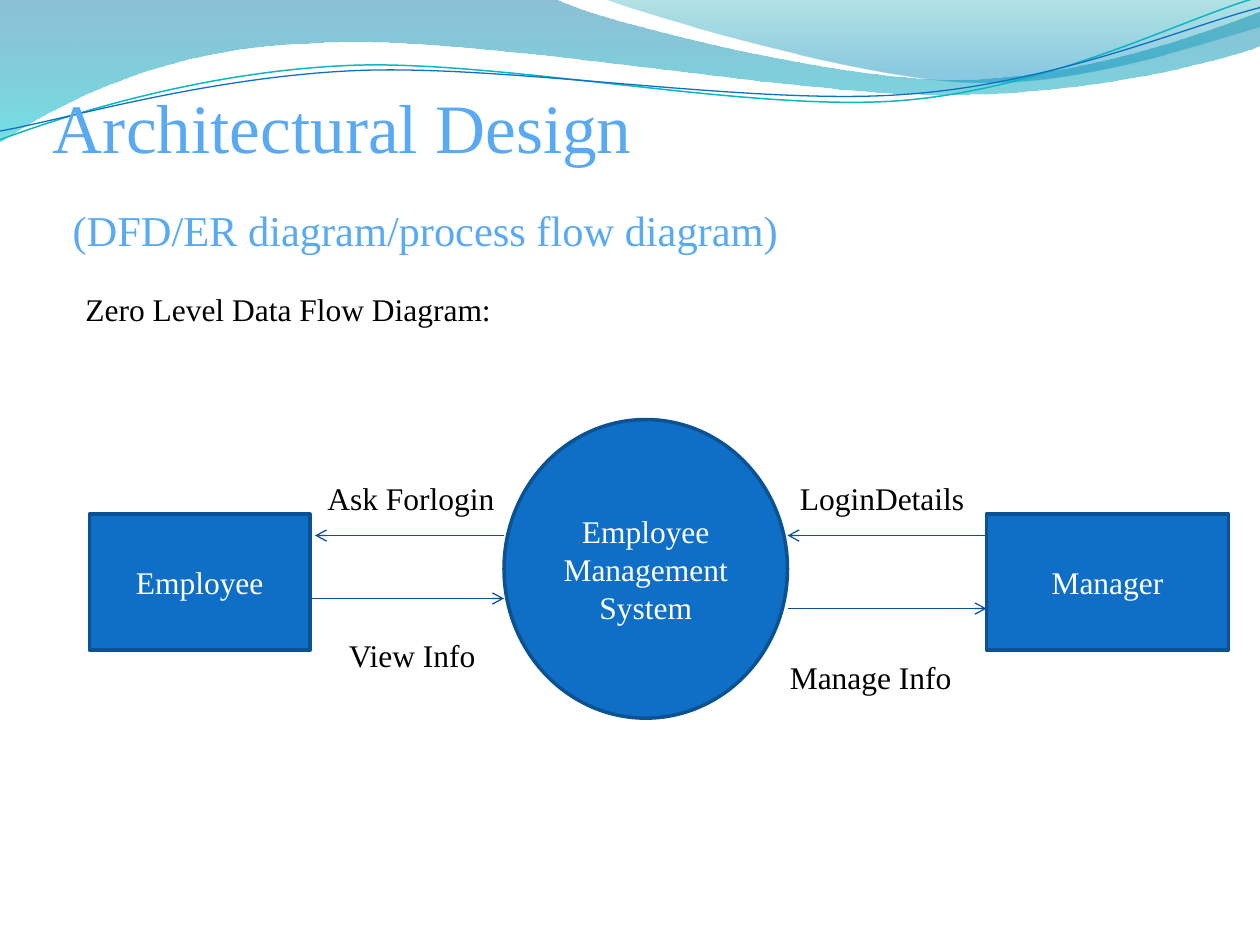
import math
from dataclasses import dataclass

import pptx
import pptx.dml.color
import pptx.enum.dml
import pptx.enum.shapes
import pptx.enum.text
import pptx.oxml
import pptx.oxml.ns
import pptx.util

Inches = pptx.util.Inches
Pt = pptx.util.Pt
ALIGN = pptx.enum.text.PP_ALIGN
ANCHOR = pptx.enum.text.MSO_ANCHOR
SHAPES = pptx.enum.shapes.MSO_SHAPE
qn = pptx.oxml.ns.qn

FONT = "Times New Roman"
SPACE = pptx.oxml.ns.nsdecls("a")
COLORS = {
    "title": "59AAF2",
    "text": "000000",
    "node_text": "FFFFFF",
    "node": "0F6FC6",
    "node_line": "0B5292",
    "arrow": "095295",
    "teal_line": "0AB8BF",
    "blue_line": "0F6FC6",
    "wave_top": "0074A1",
    "wave_bottom": "00C6CF",
    "crest_top": "00A1A9",
    "crest_bottom": "008BBF",
}


@dataclass
class Stop:
    position: float
    color: str
    opacity: int


@dataclass
class Wave:
    """Each segment holds one end point, or two handles and an end point."""
    box: tuple
    start: tuple
    segments: list
    stops: tuple = ()
    color: str = ""
    weight: float = 0
    rotation: float = 0


@dataclass
class Node:
    kind: int
    box: tuple
    lines: tuple


@dataclass
class Label:
    box: tuple
    text: str


@dataclass
class Flow:
    start_x: float
    end_x: float
    y: float


WAVES = [
    Wave((-0.01, -0.01, 10.02, 1.14), (0, 0), [
        ((4.4, -0.01),),
        ((4.76, 0.17), (6.64, 0.63), (7.58, 0.63)),
        ((8.53, 0.63), (9.58, 0.26), (10, 0.09)),
        ((10.01, 0.36),),
        ((9.83, 0.44), (8.7, 0.76), (7.46, 0.75)),
        ((6.22, 0.75), (3.82, 0.28), (2.57, 0.34)),
        ((1.29, 0.36), (0.46, 0.83), (-0.01, 1.13)),
        ((0, 0),),
    ], stops=(Stop(0, "wave_top", 45), Stop(1, "wave_bottom", 55))),
    Wave((4.79, -0.01, 5.21, 0.7), (4.79, -0.01), [
        ((5.09, 0.11), (6.82, 0.62), (7.69, 0.65)),
        ((8.56, 0.69), (9.61, 0.32), (10, 0.21)),
        ((10, 0),),
        ((4.79, -0.01),),
    ], stops=(Stop(0, "crest_top", 30), Stop(0.8, "crest_bottom", 45))),
    Wave((-0.02, 0.22, 10.02, 0.71), (0, 1.11), [
        ((0.48, 0.93), (1.58, 0.57), (2.77, 0.52)),
        ((3.95, 0.47), (5.93, 0.89), (7.13, 0.8)),
        ((8.33, 0.71), (9.38, 0.15), (9.98, -0.02)),
    ], color="teal_line", weight=0.85, rotation=357.3),
    Wave((-0.02, 0.3, 10.03, 0.58), (0, 1.04), [
        ((0.47, 0.96), (1.64, 0.61), (2.83, 0.56)),
        ((4.03, 0.51), (5.97, 0.84), (7.17, 0.75)),
        ((8.36, 0.67), (9.41, 0.21), (10, 0.06)),
    ], color="blue_line", weight=0.75, rotation=357.3),
]
NODES = [
    Node(SHAPES.RECTANGLE, (0.71, 4.08, 1.75, 1.08), ("Employee",)),
    Node(SHAPES.OVAL, (4, 3.33, 2.25, 2.37), ("Employee", "Management System")),
    Node(SHAPES.RECTANGLE, (7.83, 4.08, 1.92, 1.08), ("Manager",)),
]
FLOWS = [Flow(4, 2.5, 4.25), Flow(2.48, 4, 4.75),
         Flow(7.83, 6.25, 4.25), Flow(6.25, 7.83, 4.83)]
LABELS = [
    Label((0.58, 2.25, 3.67, 0.4), "Zero Level Data Flow Diagram:"),
    Label((2.5, 3.75, 1.58, 0.4), "Ask Forlogin"),
    Label((2.67, 5, 1.33, 0.42), "View Info"),
    Label((6.25, 3.75, 1.58, 0.4), "LoginDetails"),
    Label((6.17, 5.17, 1.67, 0.4), "Manage Info"),
]


def rgb(name: str):
    return pptx.dml.color.RGBColor.from_string(COLORS[name])


def add_span(para, text: str, size: float, color: str) -> None:
    span = para.add_run()
    span.text = text
    span.font.name = FONT
    span.font.size = Pt(size)
    span.font.color.rgb = rgb(color)


def path_point(wave: Wave, point: tuple) -> str:
    """Place a slide point inside the wave's box, before the box is turned."""
    left, top, width, height = wave.box
    angle = math.radians(-wave.rotation)
    x, y = point[0] - left - width / 2, point[1] - top - height / 2
    turned_x = x * math.cos(angle) - y * math.sin(angle) + width / 2
    turned_y = x * math.sin(angle) + y * math.cos(angle) + height / 2
    return f'<a:pt x="{Inches(turned_x)}" y="{Inches(turned_y)}"/>'


def add_wave(page, wave: Wave) -> None:
    ends = [(Inches(x), Inches(y)) for x, y in (part[-1] for part in wave.segments)]
    builder = page.shapes.build_freeform(Inches(wave.start[0]), Inches(wave.start[1]))
    builder.add_line_segments(ends, close=bool(wave.stops))
    shape = builder.convert_to_shape()
    shape.left, shape.top, shape.width, shape.height = map(Inches, wave.box)
    shape.rotation = wave.rotation
    shape.shadow.inherit = False
    # Curved outline
    outline = next(shape.element.iter(qn("a:path")))
    outline.set("w", str(shape.width))
    outline.set("h", str(shape.height))
    for child in list(outline):
        outline.remove(child)
    steps = [("moveTo", (wave.start,))]
    steps += [("cubicBezTo" if len(part) == 3 else "lnTo", part) for part in wave.segments]
    if wave.stops:
        steps.append(("close", ()))
    for tag, points in steps:
        inner = "".join(path_point(wave, point) for point in points)
        outline.append(pptx.oxml.parse_xml(f"<a:{tag} {SPACE}>{inner}</a:{tag}>"))
    if not wave.stops:
        shape.fill.background()
        shape.line.color.rgb = rgb(wave.color)
        shape.line.width = Pt(wave.weight)
        return
    shape.line.fill.background()
    shape.fill.gradient()
    shape.fill.gradient_angle = 270
    for target, stop in zip(shape.fill.gradient_stops, wave.stops):
        target.position = stop.position
        target.color.rgb = rgb(stop.color)
    # Opacity of each gradient stop
    gradient = shape.element.spPr.find(qn("a:gradFill"))
    for color, stop in zip(gradient.iter(qn("a:srgbClr")), wave.stops):
        color.append(pptx.oxml.parse_xml(
            f'<a:alpha {SPACE} val="{stop.opacity * 1000}"/>'))


def add_title(page) -> None:
    title = page.shapes.title
    title.left, title.top, title.width, title.height = map(Inches, (0.42, 0.83, 9, 1.25))
    frame = title.text_frame
    frame.auto_size = pptx.enum.text.MSO_AUTO_SIZE.NONE
    frame.vertical_anchor = ANCHOR.BOTTOM
    frame.margin_left = frame.margin_right = frame.margin_bottom = 0
    frame.margin_top = Inches(0.05)
    para = frame.paragraphs[0]
    para.alignment = ALIGN.LEFT
    add_span(para, "Architectural Design", 39.6, "title")
    para.add_line_break()
    add_span(para, " ", 45, "title")
    add_span(para, "(DFD/ER diagram/process flow diagram)", 24.3, "title")
    # Bring the title in front of the waves
    title.element.getparent().append(title.element)


def add_node(page, node: Node) -> None:
    shape = page.shapes.add_shape(node.kind, *map(Inches, node.box))
    shape.shadow.inherit = False
    shape.fill.solid()
    shape.fill.fore_color.rgb = rgb("node")
    shape.line.color.rgb = rgb("node_line")
    shape.line.width = Pt(2)
    frame = shape.text_frame
    frame.vertical_anchor = ANCHOR.MIDDLE
    for index, line in enumerate(node.lines):
        para = frame.add_paragraph() if index else frame.paragraphs[0]
        para.alignment = ALIGN.CENTER
        add_span(para, line, 18, "node_text")


def add_flow(page, flow: Flow) -> None:
    arrow = page.shapes.add_connector(
        pptx.enum.shapes.MSO_CONNECTOR.STRAIGHT,
        Inches(flow.start_x), Inches(flow.y), Inches(flow.end_x), Inches(flow.y))
    arrow.line.color.rgb = rgb("arrow")
    arrow.line.width = Pt(0.75)
    line = arrow.element.spPr.find(qn("a:ln"))
    line.append(pptx.oxml.parse_xml(f'<a:tailEnd {SPACE} type="arrow"/>'))
    arrow.element.spPr.append(pptx.oxml.parse_xml(f"<a:effectLst {SPACE}/>"))


def add_label(page, label: Label) -> None:
    box = page.shapes.add_textbox(*map(Inches, label.box))
    box.text_frame.word_wrap = True
    box.text_frame.auto_size = pptx.enum.text.MSO_AUTO_SIZE.SHAPE_TO_FIT_TEXT
    add_span(box.text_frame.paragraphs[0], label.text, 18, "text")


def main() -> None:
    deck = pptx.Presentation()
    deck.slide_width, deck.slide_height = Inches(10), Inches(7.5)
    page = deck.slides.add_slide(deck.slide_layouts[5])
    # Header waves and title, then the data flow diagram
    for draw, items in ((add_wave, WAVES), (lambda target, _: add_title(target), [None]),
                        (add_node, NODES), (add_flow, FLOWS), (add_label, LABELS)):
        for item in items:
            draw(page, item)
    deck.save("out.pptx")


if __name__ == "__main__":
    main()
